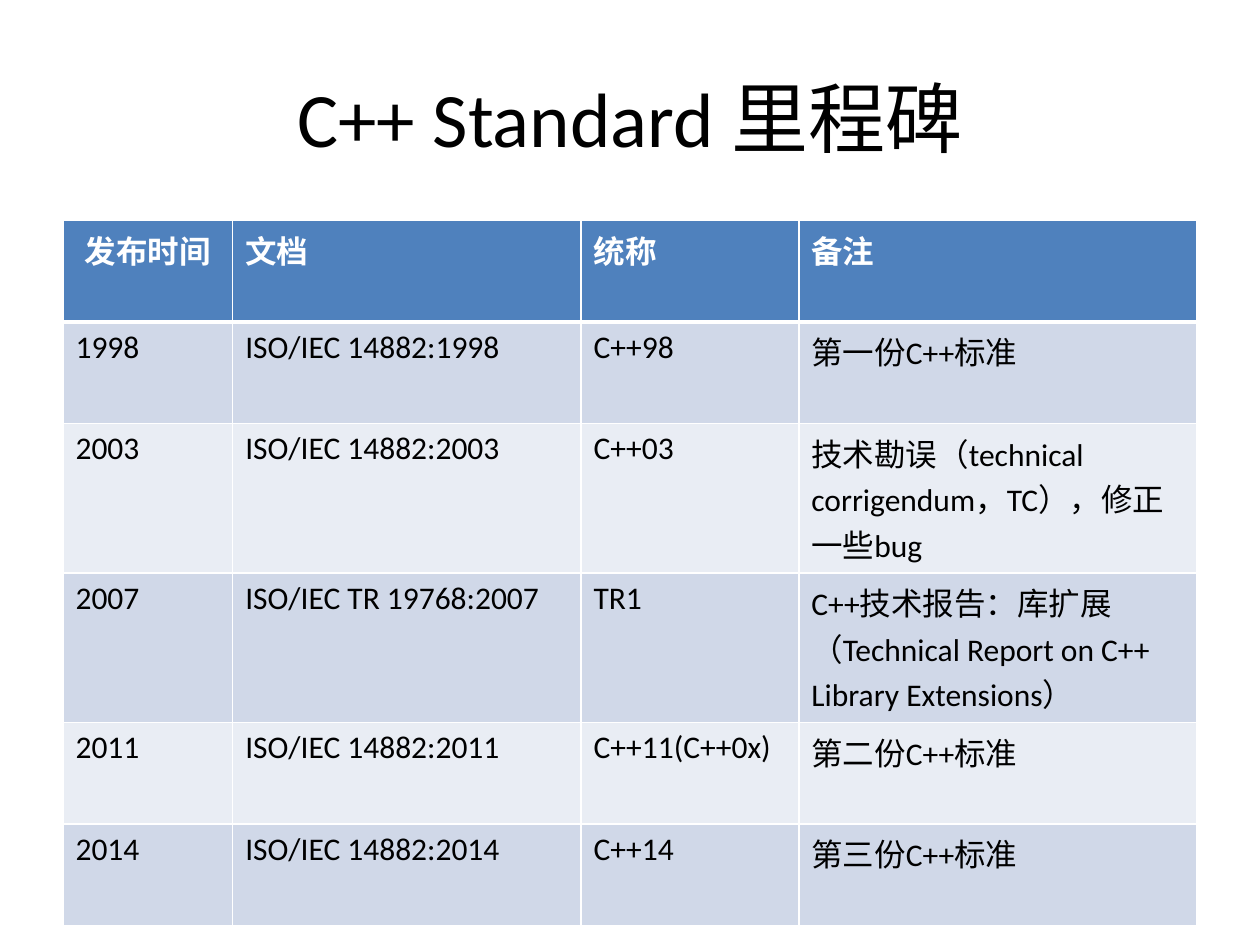
"""Build a slide with a table of C++ standard milestones."""
from dataclasses import dataclass

from lxml import etree
from pptx import Presentation
from pptx.dml.color import RGBColor
from pptx.enum.text import MSO_ANCHOR, PP_ALIGN
from pptx.oxml.ns import qn
from pptx.util import Pt

CENTER, LEFT = PP_ALIGN.CENTER, PP_ALIGN.LEFT
MIDDLE = MSO_ANCHOR.MIDDLE
TITLE_ONLY = 5

TITLE = "C++ Standard 里程碑"
HEADERS = ("发布时间", "文档", "统称", "备注")
MILESTONES = (
    ("1998", "ISO/IEC 14882:1998", "C++98", "第一份C++标准"),
    ("2003", "ISO/IEC 14882:2003", "C++03", "技术勘误（technical corrigendum，TC），修正一些bug"),
    ("2007", "ISO/IEC TR 19768:2007", "TR1",
     "C++技术报告：库扩展（Technical Report on C++ Library Extensions）"),
    ("2011", "ISO/IEC 14882:2011", "C++11(C++0x)", "第二份C++标准"),
    ("2014", "ISO/IEC 14882:2014", "C++14", "第三份C++标准"),
)

SLIDE_WIDTH, SLIDE_HEIGHT = 720, 540
MARGIN = 36
TITLE_TOP, TITLE_HEIGHT = 21.6, 90
TABLE_TOP, ROW_HEIGHT = 126, 58
COLUMN_WIDTHS = (97, 199, 124.5, 227.5)


@dataclass(frozen=True)
class Theme:
    font: str = "Calibri"
    title_size: int = 44
    cell_size: int = 18
    ink: str = "000000"
    header_ink: str = "FFFFFF"
    header_fill: str = "4F81BD"
    band_fills: tuple = ("D0D8E8", "E9EDF4")
    rule: str = "FFFFFF"
    thin: int = 1
    thick: int = 3


THEME = Theme()


def write(frame, text, size, color, align, bold=False):
    paragraph = frame.paragraphs[0]
    paragraph.alignment = align
    run = paragraph.add_run()
    run.text = text
    run.font.name = THEME.font
    run.font.size = Pt(size)
    run.font.bold = bold
    run.font.color.rgb = RGBColor.from_string(color)


def add_borders(cell, top, bottom):
    properties = cell._tc.get_or_add_tcPr()
    sides = {"L": THEME.thin, "R": THEME.thin, "T": top, "B": bottom}
    for side, width in sides.items():
        line = etree.SubElement(properties, qn(f"a:ln{side}"), w=str(Pt(width)))
        fill = etree.SubElement(line, qn("a:solidFill"))
        etree.SubElement(fill, qn("a:srgbClr"), val=THEME.rule)


def add_title(slide):
    title = slide.shapes.title
    title.left, title.top = Pt(MARGIN), Pt(TITLE_TOP)
    title.width, title.height = Pt(SLIDE_WIDTH - 2 * MARGIN), Pt(TITLE_HEIGHT)
    title.text_frame.vertical_anchor = MIDDLE
    write(title.text_frame, TITLE, THEME.title_size, THEME.ink, CENTER)


def add_milestones(slide):
    rows = (HEADERS, *MILESTONES)
    table = slide.shapes.add_table(
        len(rows), len(HEADERS), Pt(MARGIN), Pt(TABLE_TOP),
        Pt(sum(COLUMN_WIDTHS)), Pt(ROW_HEIGHT * len(rows))).table
    for column, width in zip(table.columns, COLUMN_WIDTHS):
        column.width = Pt(width)
    for r, texts in enumerate(rows):
        is_header = r == 0
        ink = THEME.header_ink if is_header else THEME.ink
        fill = THEME.header_fill if is_header else THEME.band_fills[(r - 1) % 2]
        top = THEME.thick if r == 1 else THEME.thin
        bottom = THEME.thick if is_header else THEME.thin
        for c, text in enumerate(texts):
            cell = table.cell(r, c)
            add_borders(cell, top, bottom)
            cell.fill.solid()
            cell.fill.fore_color.rgb = RGBColor.from_string(fill)
            align = CENTER if is_header and c == 0 else LEFT
            write(cell.text_frame, text, THEME.cell_size, ink, align, is_header)


def main():
    deck = Presentation()
    deck.slide_width, deck.slide_height = Pt(SLIDE_WIDTH), Pt(SLIDE_HEIGHT)
    slide = deck.slides.add_slide(deck.slide_layouts[TITLE_ONLY])
    add_title(slide)
    add_milestones(slide)
    deck.save("out.pptx")


if __name__ == "__main__":
    main()
